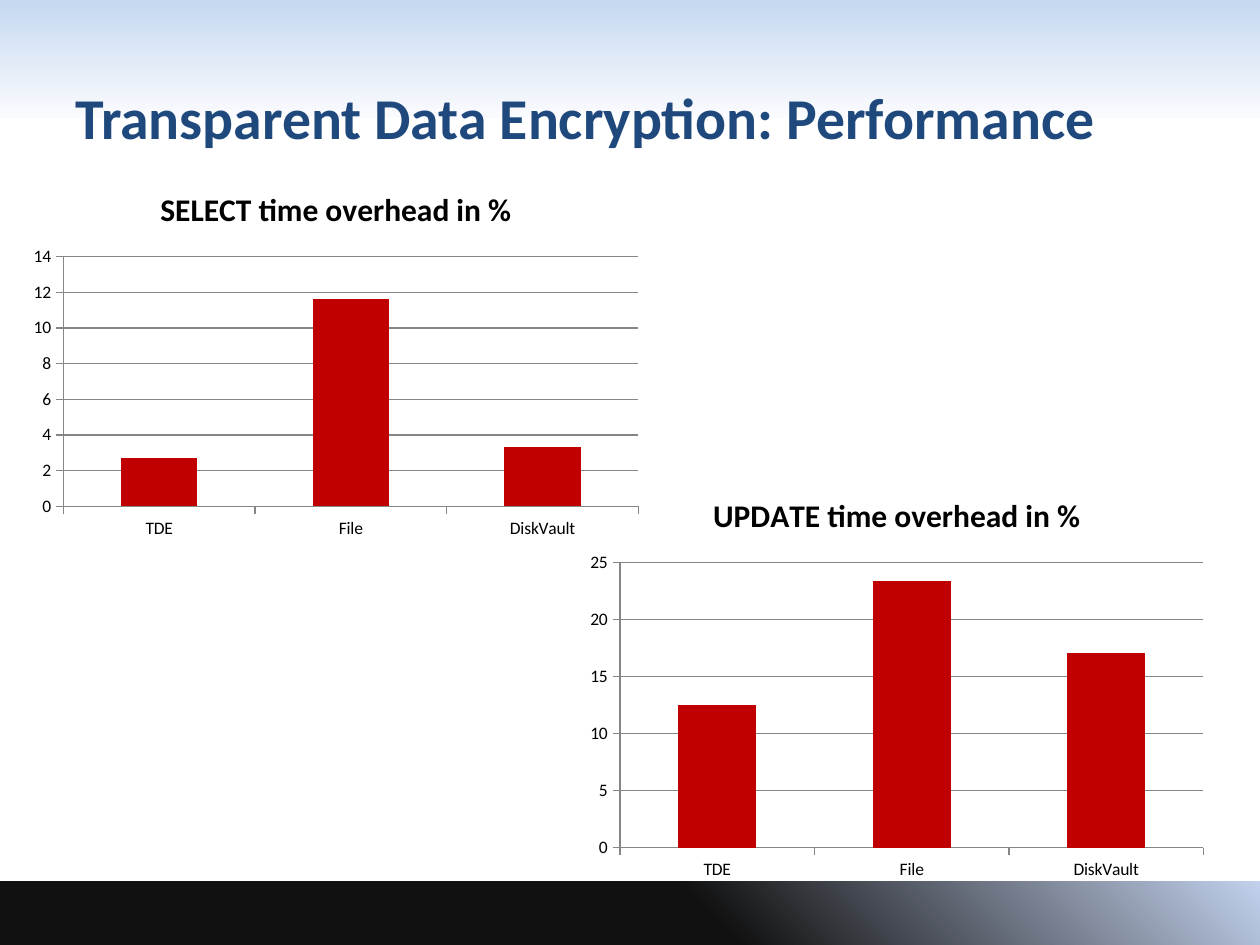
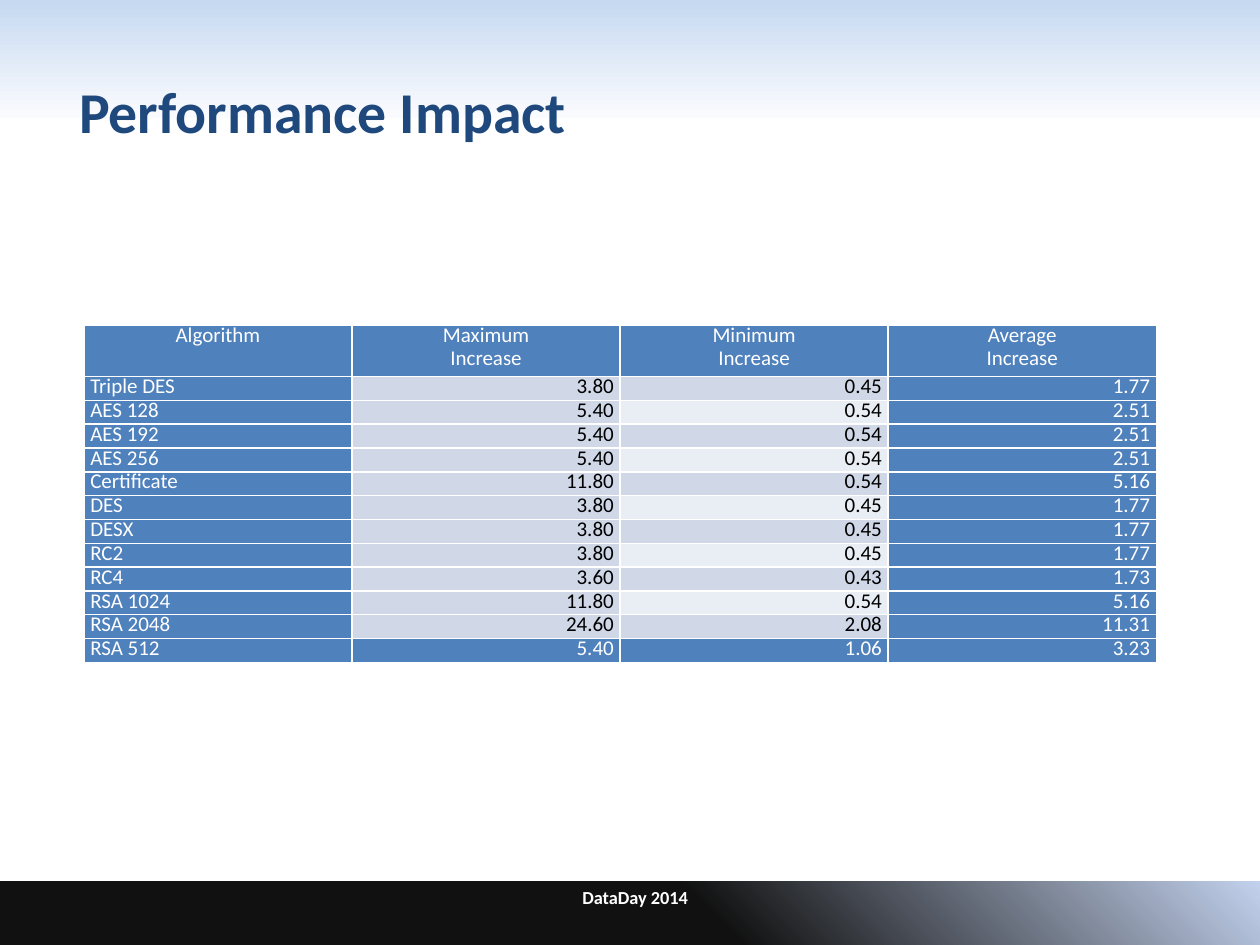
from pptx import Presentation
from pptx.chart.data import CategoryChartData
from pptx.dml.color import RGBColor
from pptx.enum.chart import XL_CHART_TYPE as ChartType, XL_TICK_MARK as Tick
from pptx.enum.shapes import MSO_SHAPE as Shape
from pptx.enum.text import MSO_ANCHOR as Anchor, MSO_AUTO_SIZE as AutoSize, PP_ALIGN as Align
from pptx.oxml import parse_xml
from pptx.oxml.ns import nsdecls
from pptx.util import Pt

FONT = "Calibri"
WIDTH, HEIGHT = 720, 540
NAVY, BLUE, RED = "1F497D", "4F81BD", "C00000"
WHITE, BLACK, GREY = "FFFFFF", "000000", "868686"
BAND_DARK, BAND_LIGHT = "D0D8E8", "E9EDF4"
TITLE_FORMAT = {"size": Pt(33), "bold": True}
FOOTER_FORMAT = {"size": Pt(10.5), "bold": True}
CHART_TITLE_FORMAT = {"size": Pt(18), "bold": True}
CELL_FORMAT = {"size": Pt(12), "bold": False}
CELL_SPACING = {"line_spacing": Pt(13), "space_before": Pt(3), "space_after": Pt(3)}
CELL_LAYOUT = {"margin_left": Pt(3.6), "margin_right": Pt(3.6), "margin_top": 0,
               "margin_bottom": 0, "vertical_anchor": Anchor.TOP}

METHODS = ["TDE", "File", "DiskVault"]
HEADINGS = ["Algorithm", "Maximum\nIncrease", "Minimum\nIncrease", "Average\nIncrease"]
INCREASES = [
    ("Triple DES", "3.80", "0.45", "1.77"),
    ("AES 128", "5.40", "0.54", "2.51"),
    ("AES 192", "5.40", "0.54", "2.51"),
    ("AES 256", "5.40", "0.54", "2.51"),
    ("Certificate", "11.80", "0.54", "5.16"),
    ("DES", "3.80", "0.45", "1.77"),
    ("DESX", "3.80", "0.45", "1.77"),
    ("RC2", "3.80", "0.45", "1.77"),
    ("RC4", "3.60", "0.43", "1.73"),
    ("RSA 1024", "11.80", "0.54", "5.16"),
    ("RSA 2048", "24.60", "2.08", "11.31"),
    ("RSA 512", "5.40", "1.06", "3.23"),
]


def rgb(color):
    return RGBColor.from_string(color)


def points(*lengths):
    return [Pt(length) for length in lengths]


def apply(target, values):
    for name, value in values.items():
        setattr(target, name, value)


def style_font(font, color, values):
    apply(font, {"name": FONT, **values})
    font.color.rgb = rgb(color)


def write(para, text, color, values, align):
    para.text = text
    para.alignment = align
    for span in para.runs:
        style_font(span.font, color, values)


def outline_cell(cell):
    """Draw a thin white line on all four sides, ahead of the cell's fill."""
    properties = cell._tc.get_or_add_tcPr()
    for index, side in enumerate(("lnL", "lnR", "lnT", "lnB")):
        properties.insert(index, parse_xml(
            f'<a:{side} {nsdecls("a")} w="{Pt(1)}"><a:solidFill>'
            f'<a:srgbClr val="{WHITE}"/></a:solidFill></a:{side}>'))


def cell_color(row, column):
    """Return the fill: solid edges, and banding in the minimum column only."""
    if row in (0, len(INCREASES)) or column in (0, 3):
        return BLUE
    return BAND_LIGHT if column == 2 and row % 2 == 0 else BAND_DARK


class Slides:
    def __init__(self):
        self.deck = Presentation()
        self.deck.slide_width, self.deck.slide_height = points(WIDTH, HEIGHT)
        self.page = None

    def start(self, title, left, top):
        self.page = self.deck.slides.add_slide(self.deck.slide_layouts[5])
        self.band(0, 67.5, 270, [(0, "C6D9F1"), (1, "FAFBFE")])
        self.band(503.5, 36.5, 45, [(0.56, "111111"), (1, "C2D1ED")])
        box = self.page.shapes.title
        box.left, box.top, box.width, box.height = points(left, top, 648, 90)
        apply(box.text_frame, {"word_wrap": True, "auto_size": AutoSize.NONE,
                               "vertical_anchor": Anchor.MIDDLE})
        write(box.text_frame.paragraphs[0], title, NAVY, TITLE_FORMAT, Align.LEFT)

    def band(self, top, height, angle, stops):
        """Add a full-width gradient band behind the title."""
        band = self.page.shapes.add_shape(Shape.RECTANGLE, *points(0, top, WIDTH, height))
        band.shadow.inherit = False
        band.line.fill.background()
        band.fill.gradient()
        band.fill.gradient_angle = angle
        for stop, (position, color) in zip(band.fill.gradient_stops, stops):
            stop.position = position
            stop.color.rgb = rgb(color)
        title = self.page.shapes.title._element
        title.addprevious(band._element)

    def footer(self, text):
        box = self.page.shapes.add_textbox(*points(204, 503, 318, 30))
        apply(box.text_frame, {"word_wrap": True, "vertical_anchor": Anchor.TOP})
        write(box.text_frame.paragraphs[0], text, WHITE, FOOTER_FORMAT, Align.CENTER)

    def column_chart(self, title, values, place, maximum, step):
        data = CategoryChartData()
        data.categories = METHODS
        data.add_series("Series 1", values)
        chart = self.page.shapes.add_chart(
            ChartType.COLUMN_CLUSTERED, *points(*place), data).chart
        style_font(chart.font, BLACK, {"size": Pt(10)})
        chart.has_legend = False
        chart.has_title = True
        write(chart.chart_title.text_frame.paragraphs[0], title, BLACK,
              CHART_TITLE_FORMAT, Align.CENTER)
        chart.chart_title.include_in_layout = False
        plot = chart.plots[0]
        apply(plot, {"gap_width": 150, "vary_by_categories": False})
        plot.series[0].format.fill.solid()
        plot.series[0].format.fill.fore_color.rgb = rgb(RED)
        scale = chart.value_axis
        apply(scale, {"minimum_scale": 0, "maximum_scale": maximum,
                      "major_unit": step, "has_major_gridlines": True})
        for axis in (scale, chart.category_axis):
            axis.major_tick_mark = Tick.OUTSIDE
        for part in (scale, chart.category_axis, scale.major_gridlines):
            part.format.line.color.rgb = rgb(GREY)
            part.format.line.width = Pt(0.75)

    def table(self, rows, place, header_height, row_height):
        table = self.page.shapes.add_table(len(rows), len(rows[0]), *points(*place)).table
        apply(table, {"first_row": False, "horz_banding": False})
        for index, line in enumerate(table.rows):
            line.height = Pt(row_height if index else header_height)
        for row, texts in enumerate(rows):
            for column, text in enumerate(texts):
                self.cell(table.cell(row, column), text, row, column)

    def cell(self, cell, text, row, column):
        color = cell_color(row, column)
        apply(cell, CELL_LAYOUT)
        cell.fill.solid()
        cell.fill.fore_color.rgb = rgb(color)
        outline_cell(cell)
        para = cell.text_frame.paragraphs[0]
        align = Align.CENTER if row == 0 else Align.RIGHT if column else Align.LEFT
        write(para, text, WHITE if color == BLUE else BLACK, CELL_FORMAT, align)
        apply(para, CELL_SPACING)


def main():
    slides = Slides()
    slides.start("Transparent Data Encryption: Performance", 36, 21.6)
    slides.column_chart("SELECT time overhead in %", (2.7, 11.6, 3.3),
                        (12, 96, 360, 216), 14, 2)
    slides.column_chart("UPDATE time overhead in %", (12.5, 23.4, 17.1),
                        (330, 270, 365, 237.6), 25, 5)

    slides.start("Performance Impact", 38, 18)
    slides.footer("DataDay 2014")
    slides.table([HEADINGS, *INCREASES], (48, 186, 612.8, 193), 29.2, 13.63)
    slides.deck.save("out.pptx")


if __name__ == "__main__":
    main()
